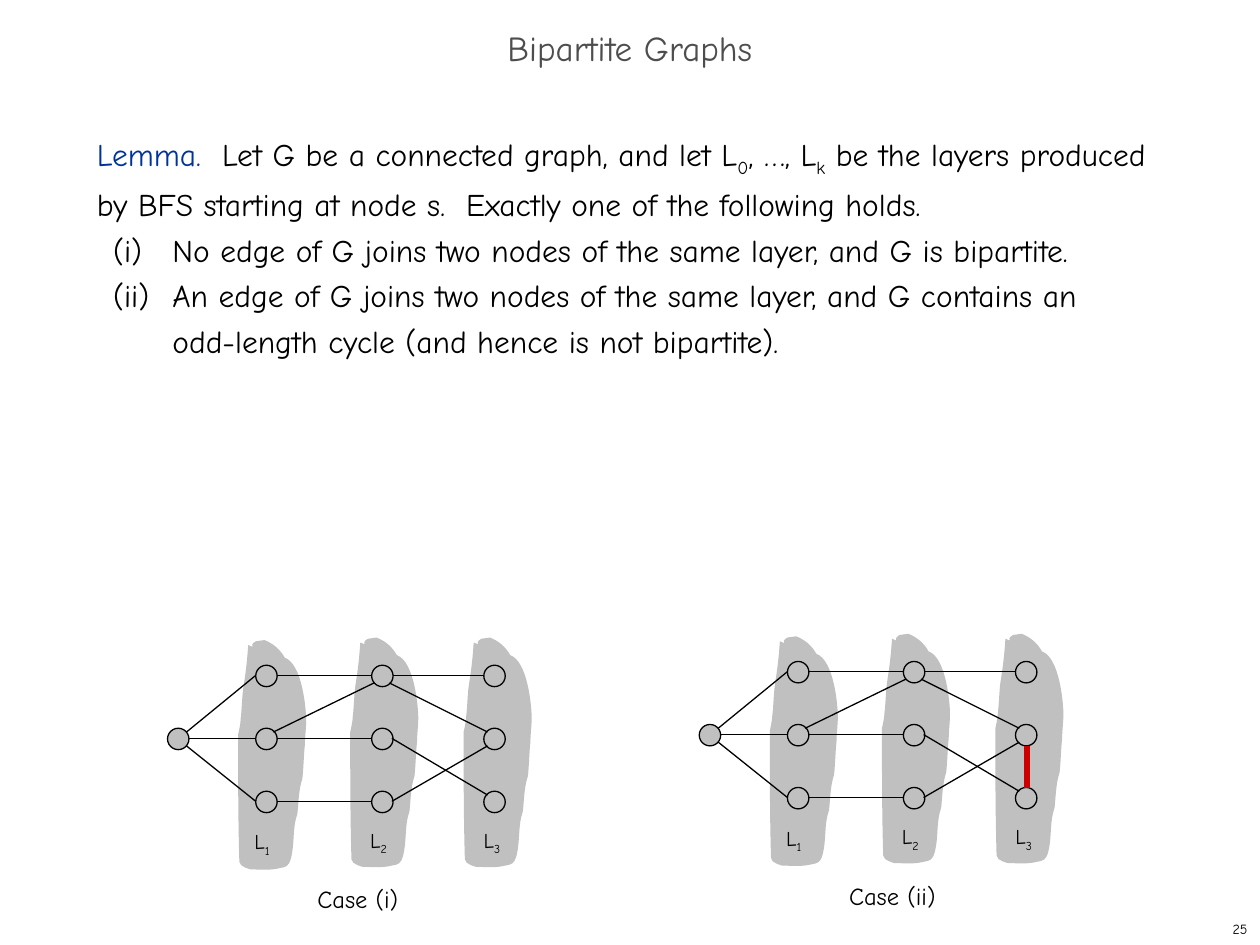
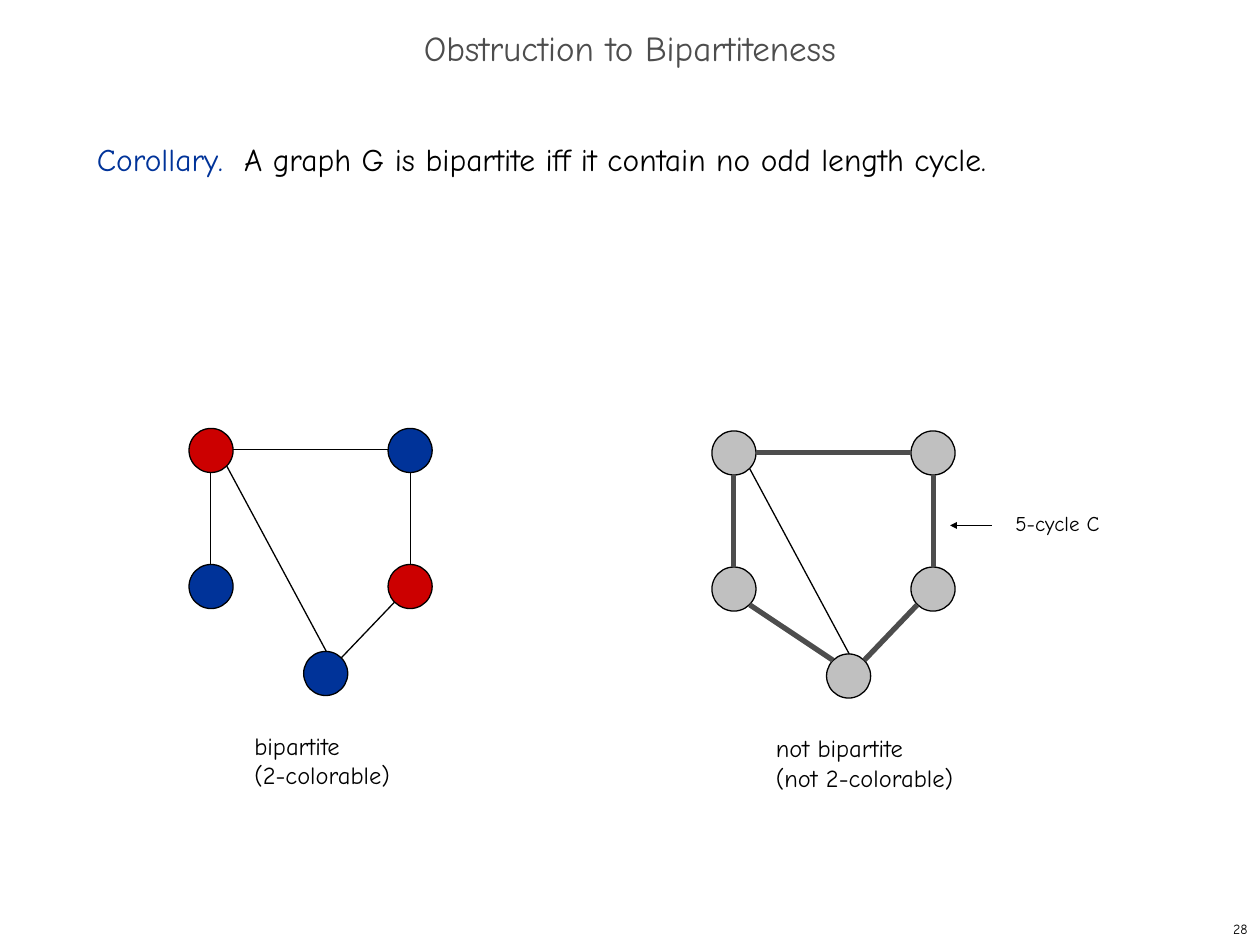
from lxml.etree import SubElement
from pptx import Presentation
from pptx.dml.color import RGBColor
from pptx.enum.shapes import MSO_CONNECTOR, MSO_SHAPE
from pptx.enum.text import MSO_ANCHOR, MSO_AUTO_SIZE, PP_ALIGN
from pptx.oxml.ns import qn
from pptx.util import Inches, Pt

BLACK = RGBColor(0x00, 0x00, 0x00)
DARK_GRAY = RGBColor(0x4D, 0x4D, 0x4D)
GRAY = RGBColor(0xC0, 0xC0, 0xC0)
BLUE = RGBColor(0x00, 0x33, 0x99)
RED = RGBColor(0xCC, 0x00, 0x00)
FONT = "Comic Neue"
THIN, THICK = Pt(0.75), Pt(3)
SUBSCRIPT = "-25000"


def add_text(page, area, size, paragraphs, wrap=False):
    """Add a text box; each paragraph is a list of (text, colour, is_subscript)."""
    box = page.shapes.add_textbox(*[Inches(value) for value in area])
    box.text_frame.word_wrap = wrap
    for index, spans in enumerate(paragraphs):
        para = box.text_frame.paragraphs[0] if index == 0 else box.text_frame.add_paragraph()
        for text, color, is_subscript in spans:
            for number, line in enumerate(text.split("\n")):
                if number:
                    para.add_line_break()
                span = para.add_run()
                span.text = line
                for name, value in {"name": FONT, "size": Pt(size)}.items():
                    setattr(span.font, name, value)
                span.font.color.rgb = color
                if is_subscript:
                    span._r.get_or_add_rPr().set("baseline", SUBSCRIPT)
    return box


def add_edge(page, origin, start, end, color=BLACK, width=THIN):
    """Draw a straight edge between two points given relative to the origin."""
    points = [Inches(base + offset) for point in (start, end)
              for base, offset in zip(origin, point)]
    edge = page.shapes.add_connector(MSO_CONNECTOR.STRAIGHT, *points)
    edge.line.color.rgb = color
    edge.line.width = width
    SubElement(edge._element.spPr, qn("a:effectLst"))
    return edge


deck = Presentation()
deck.slide_width, deck.slide_height = Inches(10), Inches(7.5)

# Titles, statements and page numbers
STATEMENTS = [
    ("Bipartite Graphs", "25", [
        [("Lemma.  ", BLUE, False),
         ("Let G be a connected graph, and let L", BLACK, False),
         ("0", BLACK, True), (", …, L", BLACK, False), ("k", BLACK, True),
         (" be the layers produced by BFS starting at node s.  "
          "Exactly one of the following holds.", BLACK, False)],
        [("(i)\tNo edge of G joins two nodes of the same layer, and G is bipartite.",
          BLACK, False)],
        [("(ii)\tAn edge of G joins two nodes of the same layer, and G contains an\n"
          "odd-length cycle (and hence is not bipartite).", BLACK, False)],
    ]),
    ("Obstruction to Bipartiteness", "28", [
        [("Corollary.  ", BLUE, False),
         ("A graph G is bipartite iff it contain no odd length cycle.", BLACK, False)],
    ]),
]
pages = []
for heading, page_number, statement in STATEMENTS:
    page = deck.slides.add_slide(deck.slide_layouts[5])
    pages.append(page)
    number_box = add_text(page, (7.92, 7.25, 2.08, 0.25), 8, [[(page_number, BLACK, False)]])
    number_box.text_frame.vertical_anchor = MSO_ANCHOR.MIDDLE
    number_box.text_frame.paragraphs[0].alignment = PP_ALIGN.RIGHT

    title = page.shapes.title
    title_area = {"left": 0, "top": 0.17, "width": 10, "height": 0.5}
    for name, value in title_area.items():
        setattr(title, name, Inches(value))
    title.text_frame.text = heading
    title.text_frame.auto_size = MSO_AUTO_SIZE.NONE
    title.text_frame.vertical_anchor = MSO_ANCHOR.MIDDLE
    para = title.text_frame.paragraphs[0]
    para.alignment, para.line_spacing = PP_ALIGN.CENTER, 0.7
    for name, value in {"name": FONT, "size": Pt(20)}.items():
        setattr(para.runs[0].font, name, value)
    para.runs[0].font.color.rgb = DARK_GRAY

    body = add_text(page, (0.67, 1, 8.58, 5.92), 18, statement, wrap=True)
    for index, para in enumerate(body.text_frame.paragraphs):
        para.line_spacing = Pt(26)
        if index:
            para.level = 1
            para_format = para._p.get_or_add_pPr()
            para_format.set("marL", str(Inches(0.6)))
            para_format.set("indent", str(Inches(-0.47)))

# Layer outline: cubic curves in hundredths of an inch
OUTLINE_START = (8, 4)
OUTLINE_CURVES = [
    (7, 19, 6, 26, 4, 39), (3, 47, 3, 55, 2, 63), (2, 67, 0, 75, 0, 75),
    (0, 109, 0, 143, 1, 176), (1, 180, 10, 182, 10, 182), (18, 182, 25, 183, 33, 181),
    (38, 180, 40, 180, 42, 173), (45, 161, 43, 149, 47, 138), (48, 129, 48, 119, 51, 110),
    (52, 101, 52, 92, 53, 83), (53, 77, 54, 70, 54, 64), (54, 55, 51, 19, 37, 14),
    (33, 7, 28, 3, 21, 0), (19, 1, 16, 0, 14, 1), (7, 5, 16, 7, 8, 4),
]

# Slide 1: the same layered graph for both cases
page = pages[0]
NODE = 0.17
COLUMNS = [0, 0.7, 1.62, 2.51]
ROWS = [0, 0.5, 1]
LAYERS = [(0.56, -0.2), (1.45, -0.22), (2.35, -0.22)]
LABELS = [(0.59, 1.25, 0.34), (1.51, 1.24, 0.36), (2.41, 1.24, 0.36)]
LEVEL_EDGES = [(0, 1), (1, 0), (1, 1), (1, 2), (2, 0)]  # column, row of the left node
SLANTED_EDGES = [
    ((0.15, 0.53), (0.7, 0.08)), ((0.15, 0.64), (0.7, 1.08)),
    ((0.84, 0.53), (1.64, 0.14)), ((1.76, 0.14), (2.54, 0.53)),
    ((1.78, 1.08), (2.54, 0.64)), ((1.78, 0.58), (2.54, 1.03)),
]
CASES = [("Case (i)", (1.33, 5.28), 0.88), ("Case (ii)", (5.55, 5.25), 0.93)]
for caption, origin, caption_width in CASES:
    left, top = origin
    for x, y in reversed(LAYERS):
        builder = page.shapes.build_freeform(*OUTLINE_START, scale=Inches(0.01))
        builder.add_line_segments([curve[4:] for curve in OUTLINE_CURVES], close=True)
        layer = builder.convert_to_shape(Inches(left + x), Inches(top + y))
        # Bend each straight segment into its cubic curve
        segments = list(layer._element.iter(qn("a:lnTo")))
        for segment, curve in zip(segments, OUTLINE_CURVES):
            bend = SubElement(segment.getparent(), qn("a:cubicBezTo"))
            for px, py in zip(curve[::2], curve[1::2]):
                SubElement(bend, qn("a:pt"), x=str(px), y=str(py))
            segment.getparent().replace(segment, bend)
        layer.shadow.inherit = False
        layer.fill.solid()
        layer.fill.fore_color.rgb = GRAY
        layer.line.fill.background()
    for column, x in enumerate(COLUMNS):
        for y in ROWS if column else ROWS[1:2]:
            node = page.shapes.add_shape(MSO_SHAPE.OVAL, Inches(left + x), Inches(top + y),
                                         Inches(NODE), Inches(NODE))
            node.shadow.inherit = False
            node.fill.solid()
            node.fill.fore_color.rgb = GRAY
            node.line.color.rgb = BLACK
            node.line.width = THIN
    for column, row in LEVEL_EDGES:
        y = ROWS[row] + 0.08
        add_edge(page, origin, (COLUMNS[column] + NODE, y), (COLUMNS[column + 1], y))
    for start, end in SLANTED_EDGES:
        add_edge(page, origin, start, end)
    add_text(page, (left + 1.09, top + 1.69, caption_width, 0.33), 14,
             [[(caption, BLACK, False)]])
    for index, (x, y, width) in enumerate(LABELS, start=1):
        add_text(page, (left + x, top + y, width, 0.3), 12,
                 [[("L", BLACK, False), (str(index), BLACK, True)]])
add_edge(page, CASES[1][1], (2.6, 1), (2.6, 0.67), RED, THICK)

# Slide 2: a two-colourable graph beside one with an odd cycle
page = pages[1]
CIRCLE = 0.35
CIRCLES = [(0, 0), (1.58, 0), (0, 1.08), (1.58, 1.08), (0.91, 1.77)]
DIAGONAL = ((1.09, 1.77), (0.3, 0.3))
SHARED_EDGES = [
    ((0.35, 0.17), (1.58, 0.17)), ((1.76, 1.08), (1.76, 0.35)),
    ((0.17, 1.08), (0.17, 0.35)), DIAGONAL, ((1.21, 1.82), (1.63, 1.38)),
]
CLOSING_EDGE = ((0.3, 1.38), (0.96, 1.82))
GRAPHS = [
    ((5.65, 3.42), [GRAY] * 5, SHARED_EDGES + [CLOSING_EDGE], DARK_GRAY, THICK,
     "not bipartite\n(not 2-colorable)", (6.06, 5.77, 1.72, 0.57)),
    ((1.5, 3.4), [RED, BLUE, BLUE, RED, BLUE], SHARED_EDGES, BLACK, THIN,
     "bipartite\n(2-colorable)", (1.92, 5.75, 1.37, 0.57)),
]
for origin, fills, edges, edge_color, edge_width, caption, caption_area in GRAPHS:
    for (x, y), fill in zip(CIRCLES, fills):
        circle = page.shapes.add_shape(MSO_SHAPE.OVAL, Inches(origin[0] + x),
                                       Inches(origin[1] + y), Inches(CIRCLE), Inches(CIRCLE))
        circle.shadow.inherit = False
        circle.fill.solid()
        circle.fill.fore_color.rgb = fill
        circle.line.color.rgb = BLACK
        circle.line.width = THIN
    for edge in edges:
        if edge == DIAGONAL:
            add_edge(page, origin, *edge)
        else:
            add_edge(page, origin, *edge, edge_color, edge_width)
    add_text(page, caption_area, 14, [[(caption, BLACK, False)]])

add_text(page, (7.96, 4, 0.92, 0.3), 12, [[("5-cycle C", BLACK, False)]])
arrow = add_edge(page, (0, 0), (7.87, 4.17), (7.54, 4.17))
SubElement(arrow.line._get_or_add_ln(), qn("a:tailEnd"), type="triangle", w="sm", len="sm")

deck.save("out.pptx")
